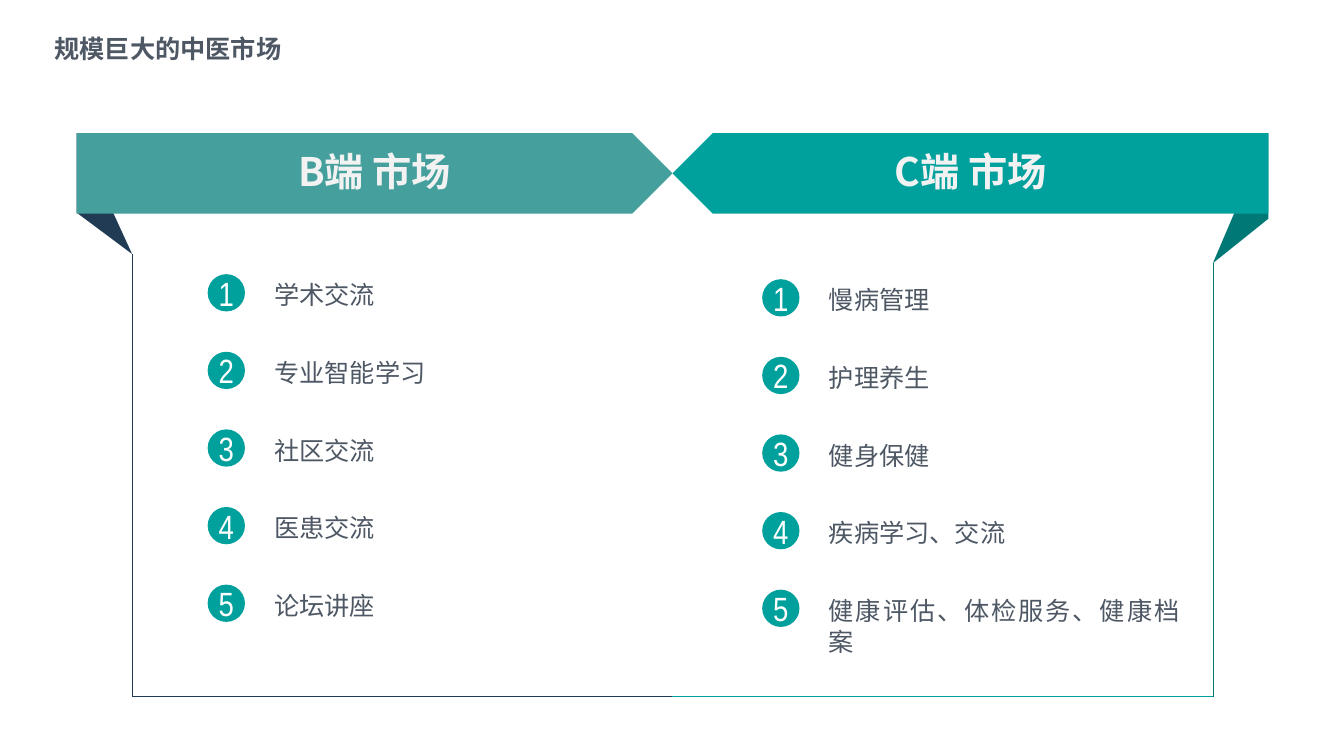
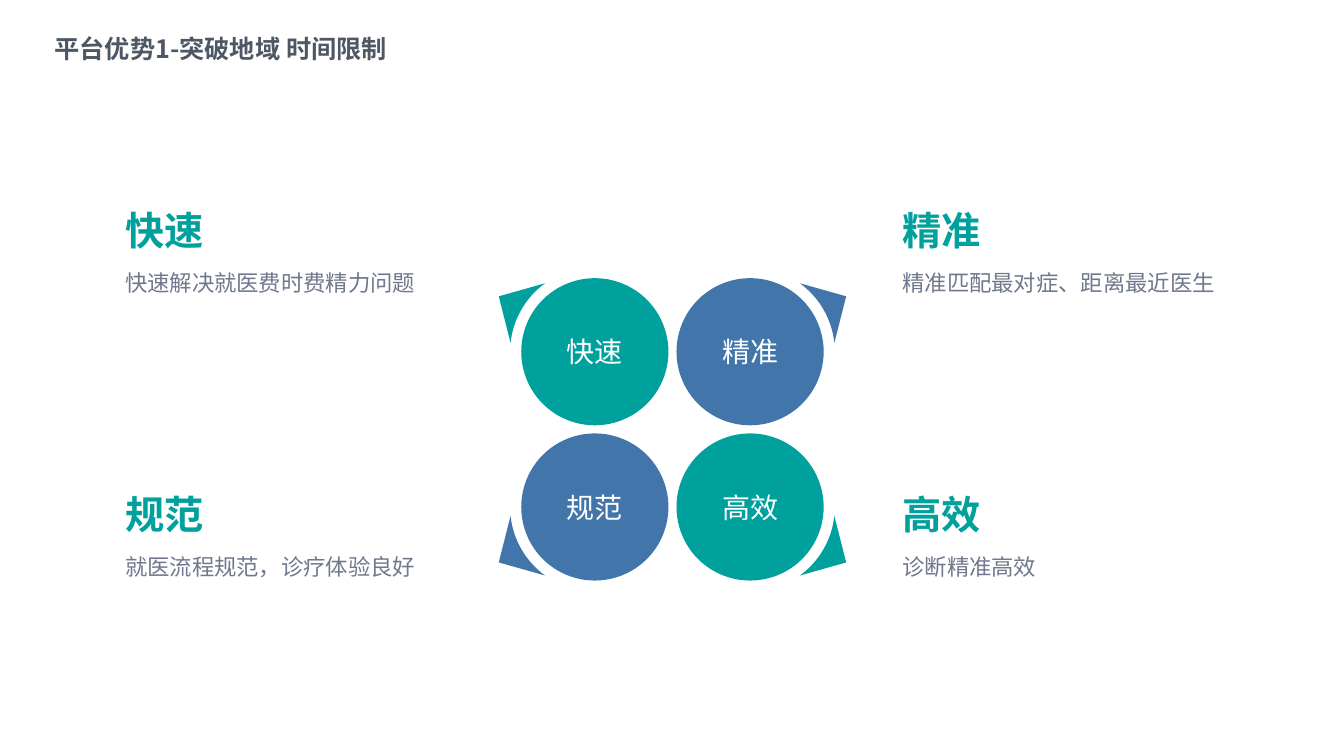
import math

import pptx
import pptx.dml.color
import pptx.enum.shapes
import pptx.enum.text
import pptx.oxml.ns
import pptx.util
from lxml import etree

Inches = pptx.util.Inches
Pt = pptx.util.Pt
RGBColor = pptx.dml.color.RGBColor
SHAPE = pptx.enum.shapes.MSO_SHAPE
ALIGN = pptx.enum.text.PP_ALIGN
ANCHOR = pptx.enum.text.MSO_ANCHOR
qn = pptx.oxml.ns.qn

WHITE = RGBColor(0xFF, 0xFF, 0xFF)
PALE = RGBColor(0xFC, 0xFC, 0xFC)
OFF_WHITE = RGBColor(0xF2, 0xF2, 0xF2)
TEAL = RGBColor(0x00, 0xA0, 0x9D)
SOFT_TEAL = RGBColor(0x45, 0x9F, 0x9C)
DARK_TEAL = RGBColor(0x00, 0x78, 0x76)
NAVY = RGBColor(0x21, 0x3B, 0x55)
BLUE = RGBColor(0x42, 0x76, 0xAA)
SLATE = RGBColor(0x4E, 0x58, 0x65)
GREY = RGBColor(0x6F, 0x78, 0x8C)

HAN_FONT = "Noto Sans CJK SC"
DIGIT_FONT = "Arial Narrow"


def write(shape, text, size, color, bold=False, align=ALIGN.LEFT,
          anchor=ANCHOR.MIDDLE, leading=None, font=HAN_FONT, inset=(0, 0)):
    """Fill a shape with one formatted paragraph; inset is (sides, top and bottom)."""
    frame = shape.text_frame
    frame.text = text
    frame.word_wrap = True
    frame.auto_size = pptx.enum.text.MSO_AUTO_SIZE.NONE
    frame.vertical_anchor = anchor
    frame.margin_left = frame.margin_right = Inches(inset[0])
    frame.margin_top = frame.margin_bottom = Inches(inset[1])
    paragraph = frame.paragraphs[0]
    paragraph.alignment = align
    if leading:
        paragraph.line_spacing = Pt(leading)
    paragraph.font.size = Pt(size)
    paragraph.font.bold = bold
    paragraph.font.color.rgb = color
    paragraph.font.name = font
    defaults = paragraph._p.pPr.find(qn("a:defRPr"))
    etree.SubElement(defaults, qn("a:ea")).set("typeface", font)


def add_text(slide, box, text, size, color, **style):
    label = slide.shapes.add_textbox(*map(Inches, box))
    write(label, text, size, color, **style)


def paint(shape, color):
    shape.shadow.inherit = False
    shape.fill.solid()
    shape.fill.fore_color.rgb = color
    shape.line.fill.background()


def add_shape(slide, kind, box, color):
    shape = slide.shapes.add_shape(kind, *map(Inches, box))
    paint(shape, color)
    return shape


def add_polygon(slide, points, color):
    corners = [(Inches(x), Inches(y)) for x, y in points]
    builder = slide.shapes.build_freeform(*corners[0], scale=1.0)
    builder.add_line_segments(corners[1:], close=True)
    paint(builder.convert_to_shape(), color)


def add_line(slide, start, end, color):
    line = slide.shapes.add_connector(
        pptx.enum.shapes.MSO_CONNECTOR.STRAIGHT, *map(Inches, start + end))
    line.line.color.rgb = color
    line.line.width = Pt(0.5)
    etree.SubElement(line._element.spPr, qn("a:effectLst"))


def set_background(prs):
    fill = prs.slide_master.background.fill
    fill.gradient()
    fill.gradient_angle = 270
    for stop, color in zip(fill.gradient_stops, (WHITE, PALE)):
        stop.color.rgb = color


def add_titled_slide(prs, heading):
    slide = prs.slides.add_slide(prs.slide_layouts[5])
    title = slide.shapes.title
    title.left, title.top, title.width, title.height = map(
        Inches, (0.44, 0.27, 3.53, 0.4))
    write(title, heading, 18, SLATE, bold=True, anchor=ANCHOR.TOP,
          leading=22, inset=(0.1, 0.05))
    return slide


def add_banner(slide, box, text, color, fold_color, fold_depths, points_left):
    """Arrow-shaped band with a folded ribbon end and a frame below it."""
    left, top, width, height = box
    outer, inward = (left + width, -0.55) if points_left else (left, 0.55)
    corner_drop, tip_drop = fold_depths
    edge = outer + inward
    add_polygon(slide, [(outer, top), (edge, top + tip_drop),
                        (outer, top + corner_drop)], fold_color)
    base = 6.91
    add_line(slide, (edge, top + tip_drop), (edge, base), fold_color)
    inner = left if points_left else left + width
    add_line(slide, (edge, base), (inner, base), TEAL if points_left else NAVY)
    band = add_shape(slide, SHAPE.PENTAGON, box, color)
    if points_left:
        band._element.spPr.xfrm.set("flipH", "1")
    add_text(slide, (left, top, width, height - 0.05), text, 28, OFF_WHITE,
             bold=True, align=ALIGN.CENTER)


def add_numbered_list(slide, left, top, items):
    badge_size, row_step = 0.37, 0.77
    for number, item in enumerate(items, 1):
        row = top + (number - 1) * row_step
        badge = add_shape(slide, SHAPE.OVAL,
                          (left, row, badge_size, badge_size), TEAL)
        write(badge, str(number), 24, WHITE, align=ALIGN.CENTER,
              font=DIGIT_FONT)
        add_text(slide, (left + 0.66, row + 0.05, 3.48, 0.3), item, 18, SLATE,
                 align=ALIGN.JUSTIFY, anchor=ANCHOR.TOP, leading=22)


def build_market_slide(prs):
    slide = add_titled_slide(prs, "规模巨大的中医市场")
    add_banner(slide, (0.76, 1.32, 5.91, 0.8), "B端 市场", SOFT_TEAL, NAVY,
               (0.79, 1.2), points_left=False)
    add_banner(slide, (6.67, 1.32, 5.91, 0.8), "C端 市场", TEAL, DARK_TEAL,
               (0.85, 1.29), points_left=True)
    add_numbered_list(slide, 2.06, 2.72, [
        "学术交流", "专业智能学习", "社区交流", "医患交流", "论坛讲座"])
    add_numbered_list(slide, 7.56, 2.77, [
        "慢病管理", "护理养生", "健身保健", "疾病学习、交流",
        "健康评估、体检服务、健康档案"])


def add_petal(slide, center, side, rise, text, color):
    """Circle with a curved pointer; side and rise (-1 or 1) give its corner."""
    x, y = center

    def polar(radius, degrees):
        angle = math.radians(degrees)
        return (x + side * radius * math.cos(angle),
                y + rise * radius * math.sin(angle))

    arc = [polar(0.84, degrees) for degrees in range(6, 55, 3)]
    add_polygon(slide, [polar(1.1, 30)] + arc, color)
    radius = 0.73
    disc = add_shape(slide, SHAPE.OVAL,
                     (x - radius, y - radius, 2 * radius, 2 * radius), color)
    write(disc, text, 20, WHITE, align=ALIGN.CENTER)


def add_benefit(slide, left, top, heading, detail):
    add_text(slide, (left, top, 2.04, 0.47), heading, 28, TEAL, bold=True)
    add_text(slide, (left, top + 0.68, 3.62, 0.21), detail, 16, GREY,
             align=ALIGN.JUSTIFY, leading=15)


def build_advantage_slide(prs):
    slide = add_titled_slide(prs, "平台优势1-突破地域 时间限制")
    benefits = [
        (-1, -1, "快速", "快速解决就医费时费精力问题"),
        (1, -1, "精准", "精准匹配最对症、距离最近医生"),
        (-1, 1, "规范", "就医流程规范，诊疗体验良好"),
        (1, 1, "高效", "诊断精准高效"),
    ]
    middle_x, middle_y, offset = 6.67, 4.26, 0.77
    for side, rise, heading, detail in benefits:
        center = (middle_x + side * offset, middle_y + rise * offset)
        add_petal(slide, center, side, rise, heading,
                  TEAL if side == rise else BLUE)
        add_benefit(slide, 1.24 if side < 0 else 8.95,
                    2.05 if rise < 0 else 4.86, heading, detail)


def main():
    prs = pptx.Presentation()
    prs.slide_width, prs.slide_height = Inches(13.33), Inches(7.5)
    set_background(prs)
    build_market_slide(prs)
    build_advantage_slide(prs)
    prs.save("out.pptx")


if __name__ == "__main__":
    main()
